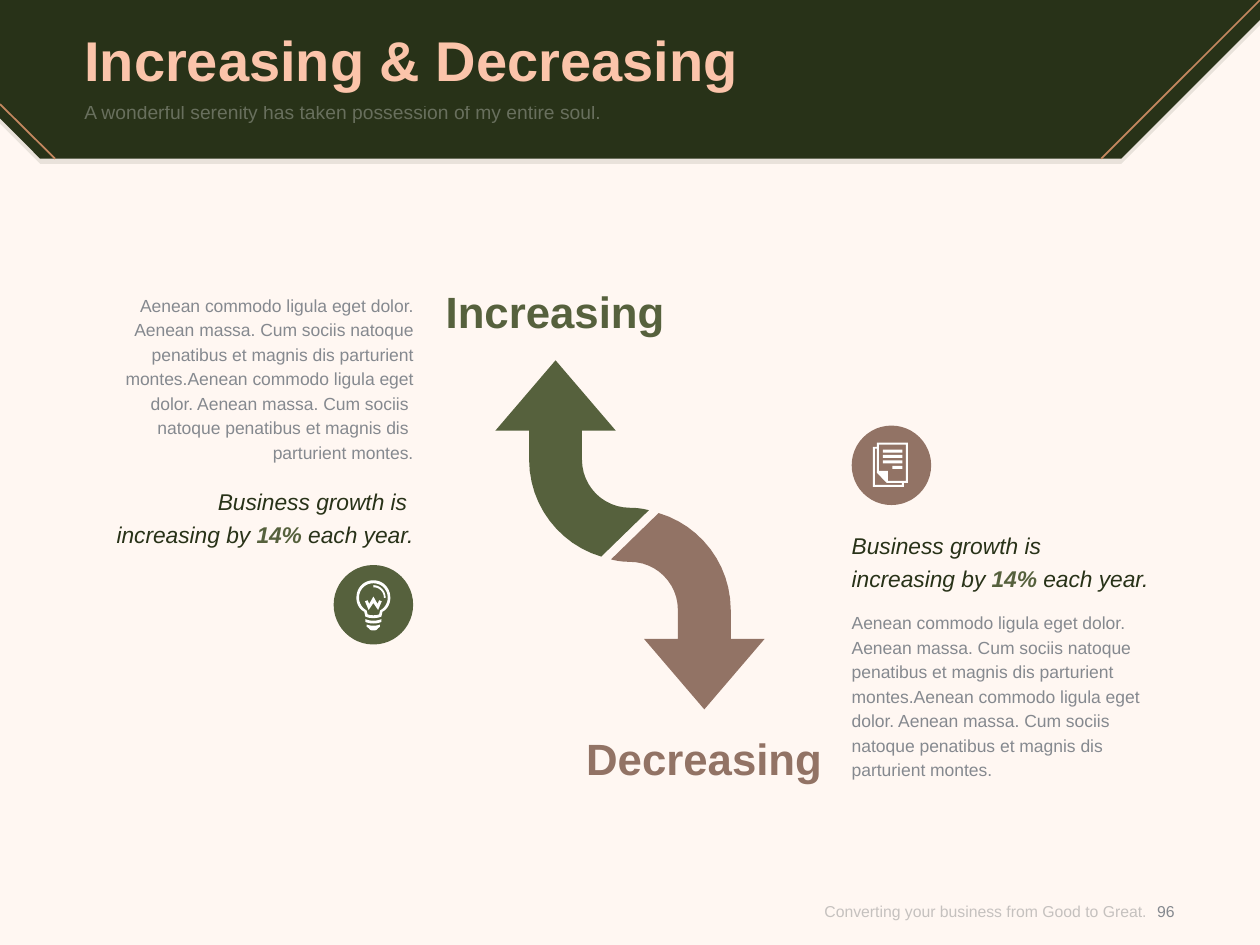
"""Builds the Increasing & Decreasing slide."""
from lxml import etree
from pptx import Presentation, util as u
from pptx.dml.color import RGBColor
from pptx.enum import shapes as es, text as et
from pptx.oxml.ns import qn

Pt = u.Pt
THEME = {
    "font": "Arial", "back": "FFF7F2", "dark": "283218", "green": "56613D",
    "brown": "927365", "peach": "FBC4AA", "copper": "C4875F", "grey": "85898F",
    "pale": "8C8C8C", "white": "FFFFFF",
    "title": 32, "head": 25, "quote": 13, "sub": 11, "body": 10, "foot": 9,
}
LEFT, RIGHT, MID = et.PP_ALIGN.LEFT, et.PP_ALIGN.RIGHT, et.PP_ALIGN.CENTER
TOP, CENTRE = et.MSO_ANCHOR.TOP, et.MSO_ANCHOR.MIDDLE

TITLE = "Increasing & Decreasing"
SUB = "A wonderful serenity has taken possession of my entire soul."
FOOT, PAGE = "Converting your business from Good to Great.", "96"
BODY = ("Aenean commodo ligula eget dolor. Aenean massa. Cum sociis natoque "
        "penatibus et magnis dis parturient montes.Aenean commodo ligula eget "
        "dolor. Aenean massa. Cum sociis \nnatoque penatibus et magnis dis \n"
        "parturient montes.")
GROWTH = ["increasing by ", "14%", " each year."]

BANNER = [(640.8, 90.7), (23, 90.7), (0, 67.7), (0, 0), (720, 0), (720, 11.5)]
STRIPES = [(720, 0, 629.3, 90.7), (31.5, 90.7, 0, 59.5)]
ARROW = [(370.8, 291.6), (343.6, 318.1), (319.7, 311, 302.4, 288.7, 302.4, 262.8),
         (302.4, 246.1), (283.1, 246.1), (317.5, 205.9), (351.9, 246.1),
         (332.6, 246.1), (332.6, 262.8), (332.6, 277.9, 344.9, 290.2, 360, 290.2),
         (363.6, 290.2, 367.2, 290.6, 370.8, 291.6)]
BULB = [
    [(0, -14), (-5.5, -14, -9.7, -9.7, -9.7, -4), (-9.7, -0.5, -8, 2.5, -5.2, 4),
     (-4.6, 6.7), (-3.2, 7.4, -1.6, 7.6, 0, 7.6), (1.6, 7.6, 3.2, 7.4, 4.6, 6.7),
     (5.2, 4), (8, 2.5, 9.7, -0.5, 9.7, -4), (9.7, -9.7, 5.5, -14, 0, -14)],
    [(0, -12.3), (-4.7, -12.3, -8.2, -8.7, -8.2, -4), (-8.2, -1, -6.5, 1.8, -3.9, 3.2),
     (-3.3, 5.4), (-2.4, 5.9, -1.2, 6, 0, 6), (1.2, 6, 2.4, 5.9, 3.3, 5.4),
     (3.9, 3.2), (6.5, 1.8, 8.2, -1, 8.2, -4), (8.2, -8.7, 4.7, -12.3, 0, -12.3)],
    [(-4.6, 8.2), (-2, 9.4, 2, 9.4, 4.6, 8.2), (4.6, 9.8), (2, 11, -2, 11, -4.6, 9.8)],
    [(-3.8, 11.3), (-1.5, 12.2, 1.5, 12.2, 3.8, 11.3), (3.8, 12.6), (2.7, 13.3),
     (2, 15.2, -2, 15.2, -2.7, 13.3), (-3.8, 12.6)],
    [(2.4, -0.5), (0, -4.7), (-2.4, -0.5), (-3.3, -2.6), (-4.8, -2), (-2.7, 3),
     (0, -1), (2.7, 3), (4.8, -2), (3.3, -2.6)],
    [(0, -11.2), (0, -10), (3.4, -10, 6, -7.4, 6, -4), (7, -4), (7, -8, 4, -11.2, 0, -11.2)],
]
BARS = [(-4.9, -9), (-4.9, -5.9), (-4.9, -2.8), (0.6, 0.3)]
PAPER = [
    [(-8.3, -12.9), (-8.3, -10.6), (-10.6, -10.6), (-10.6, 12.3), (7.1, 12.3),
     (7.1, 10), (9.4, 10), (9.4, -12.9)],
    [(6, 11.2), (-9.5, 11.2), (-9.5, -9.5), (-8.3, -9.5), (-8.3, 4.3), (-2.7, 10), (6, 10)],
    [(8.3, 8.9), (-2, 8.9), (-2, 3.2), (-7.2, 3.2), (-7.2, -11.8), (8.3, -11.8)],
] + [[(x, y), (6.3, y), (6.3, y + 1.7), (x, y + 1.7)] for x, y in BARS]

SIDES = [
    {"x": 48.2, "align": RIGHT, "body": 166.4, "quote": 275.2, "lead": "Business growth is ",
     "icon": BULB, "hub": (213.4, 345.6), "tint": "green"},
    {"x": 486.7, "align": LEFT, "body": 348, "quote": 300.6, "lead": "Business growth is",
     "icon": PAPER, "hub": (509.4, 265.9), "tint": "brown"},
]
HEADS = [("Increasing", 254.7, 162.7, LEFT, "green"),
         ("Decreasing", 281.6, 418.2, RIGHT, "brown")]
WIDE, DISC = 188, 45.4


def paint(fill, name, alpha=None):
    fill.solid()
    fill.fore_color.rgb = RGBColor.from_string(THEME[name])
    if alpha:
        tint = fill._xPr.find(".//" + qn("a:srgbClr"))
        etree.SubElement(tint, qn("a:alpha")).set("val", str(alpha * 1000))


def finish(shape, name, alpha=None):
    paint(shape.fill, name, alpha)
    shape.line.fill.background()
    shape.shadow.inherit = False


def trace(path, steps=12):
    dots = [path[0]]
    for part in path[1:]:
        if len(part) == 2:
            dots.append(part)
            continue
        ax, ay = dots[-1]
        bx, by, cx, cy, dx, dy = part
        for i in range(1, steps + 1):
            t = i / steps
            k = ((1 - t) ** 3, 3 * t * (1 - t) ** 2, 3 * t * t * (1 - t), t ** 3)
            dots.append((sum(a * b for a, b in zip(k, (ax, bx, cx, dx))),
                         sum(a * b for a, b in zip(k, (ay, by, cy, dy)))))
    return dots


def draw(slide, paths, name, move=(0, 0), sign=1, alpha=None):
    pen = None
    for path in paths:
        dots = [(Pt(move[0] + sign * x), Pt(move[1] + sign * y)) for x, y in trace(path)]
        if pen:
            pen.move_to(*dots[0])
        else:
            pen = slide.shapes.build_freeform(*dots[0])
        pen.add_line_segments(dots[1:], close=True)
    finish(pen.convert_to_shape(), name, alpha)


def write(shape, box, paras, size, align=LEFT, anchor=TOP, lead=None):
    shape.left, shape.top, shape.width, shape.height = map(Pt, box)
    frame = shape.text_frame
    frame.word_wrap, frame.vertical_anchor = True, anchor
    frame.auto_size = et.MSO_AUTO_SIZE.NONE
    frame.margin_left = frame.margin_right = frame.margin_top = frame.margin_bottom = 0
    for i, runs in enumerate(paras):
        para = frame.add_paragraph() if i else frame.paragraphs[0]
        para.alignment = align
        if lead:
            para.line_spacing = Pt(lead)
        for words, name, bold, slant, alpha in runs:
            for j, line in enumerate(words.split("\n")):
                if j:
                    para.add_line_break()
                run = para.add_run()
                run.text = line
                font = run.font
                font.name, font.size = THEME["font"], Pt(THEME[size])
                font.bold, font.italic = bold, slant
                paint(font.fill, name, alpha)


def style(words, name, bold=False, slant=False, alpha=None):
    return words, name, bold, slant, alpha


def label(slide, *args, **opts):
    write(slide.shapes.add_textbox(0, 0, 0, 0), *args, **opts)


def header(slide):
    draw(slide, [BANNER], "dark", (0, 2.9), alpha=10)
    draw(slide, [BANNER], "dark")
    for ends in STRIPES:
        line = slide.shapes.add_connector(es.MSO_CONNECTOR.STRAIGHT, *map(Pt, ends))
        line.line.width = Pt(1)
        paint(line.line.fill, "copper")
        etree.SubElement(line.element.spPr, qn("a:effectLst"))
    title = slide.shapes.title
    slide.shapes.element.append(title.element)
    write(title, (48.2, 10.1, 623.5, 46.8), [[style(TITLE, "peach", True)]], "title",
          anchor=CENTRE)
    label(slide, (48.2, 57.6, 623.5, 28), [[style(SUB, "white", alpha=30)]], "sub")


def side(slide, part):
    x, align, (cx, cy) = part["x"], part["align"], part["hub"]
    disc = slide.shapes.add_shape(es.MSO_SHAPE.OVAL, Pt(cx - DISC / 2), Pt(cy - DISC / 2),
                                  Pt(DISC), Pt(DISC))
    finish(disc, part["tint"])
    draw(slide, part["icon"], "white", part["hub"])
    label(slide, (x, part["body"], WIDE, 98.6), [[style(BODY, "grey")]], "body",
          align=align, lead=14)
    start, rate, end = GROWTH
    quote = [[style(part["lead"], "dark", slant=True)],
             [style(start, "dark", slant=True), style(rate, "green", True, True),
              style(end, "dark", slant=True)]]
    label(slide, (x, part["quote"], WIDE, 38), quote, "quote", align=align, lead=19)


def main():
    deck = Presentation()
    deck.slide_width, deck.slide_height = Pt(720), Pt(540)
    slide = deck.slides.add_slide(deck.slide_layouts[5])
    paint(slide.background.fill, "back")
    header(slide)
    label(slide, (434.9, 501.1, 220.3, 38.9), [[style(FOOT, "pale", alpha=50)]], "foot",
          align=RIGHT, anchor=CENTRE)
    label(slide, (649.4, 501.1, 33.8, 38.9), [[style(PAGE, "grey")]], "foot",
          align=MID, anchor=CENTRE)
    draw(slide, [ARROW], "green")
    draw(slide, [ARROW], "brown", (720, 611.3), -1)
    for part in SIDES:
        side(slide, part)
    for words, x, y, align, name in HEADS:
        label(slide, (x, y, WIDE, 30.2), [[style(words, name, True)]], "head", align=align)
    deck.save("out.pptx")


if __name__ == "__main__":
    main()
